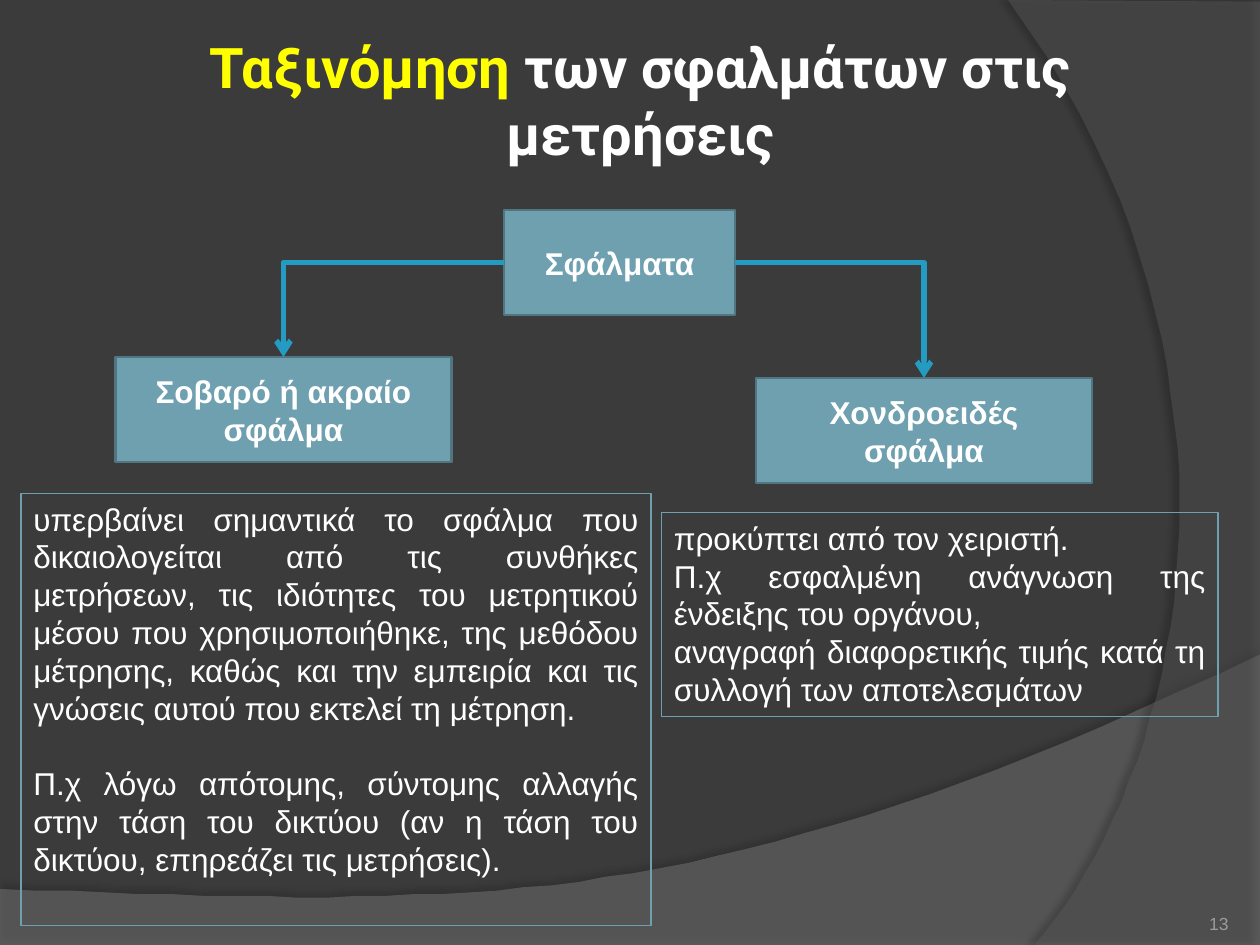
from lxml import etree
from pptx import Presentation
from pptx.dml.color import RGBColor
from pptx.enum import shapes, text
from pptx.oxml import ns
from pptx.util import Pt

BACKDROP = RGBColor(0x3B, 0x3B, 0x3B)
WAVE = RGBColor(0x7F, 0x7F, 0x7F)
ARC = RGBColor(0x5E, 0x5E, 0x5E)
WHITE = RGBColor(0xFF, 0xFF, 0xFF)
YELLOW = RGBColor(0xFF, 0xFF, 0x00)
TEAL = RGBColor(0x6E, 0xA0, 0xB0)
TEAL_DARK = RGBColor(0x51, 0x76, 0x82)
ARROW = RGBColor(0x23, 0x9B, 0xC2)
GREY = RGBColor(0x9D, 0x9B, 0x9A)

SERIOUS = [
    "υπερβαίνει σημαντικά το σφάλμα που δικαιολογείται από τις συνθήκες "
    "μετρήσεων, τις ιδιότητες του μετρητικού μέσου που χρησιμοποιήθηκε, της "
    "μεθόδου μέτρησης, καθώς και την εμπειρία και τις γνώσεις αυτού που "
    "εκτελεί τη μέτρηση.",
    "Π.χ λόγω απότομης, σύντομης αλλαγής στην τάση του δικτύου (αν η τάση "
    "του δικτύου, επηρεάζει τις μετρήσεις).",
]
GROSS = [
    "προκύπτει από τον χειριστή.",
    "Π.χ εσφαλμένη ανάγνωση της ένδειξης του οργάνου,",
    "αναγραφή διαφορετικής τιμής κατά τη συλλογή των αποτελεσμάτων",
]


def style(font, size, color, bold=False, name="Arial"):
    """Set the look of a font."""
    font.name, font.size, font.bold = name, Pt(size), bold
    font.color.rgb = color


def bezier(start, first, second, end, steps=40):
    """Return points along a cubic curve, without its start."""
    points = []
    for step in range(1, steps + 1):
        t = step / steps
        weights = ((1 - t) ** 3, 3 * t * (1 - t) ** 2, 3 * t * t * (1 - t), t ** 3)
        points.append(tuple(
            sum(w * c for w, c in zip(weights, axis))
            for axis in zip(start, first, second, end)))
    return points


def add_backdrop_curve(slide, layer, corners, curve, color, opacity, shadow):
    """Place a translucent curved area behind the content."""
    builder = slide.shapes.build_freeform(*corners[0], scale=Pt(1))
    builder.add_line_segments(corners[1:] + bezier(corners[-1], *curve), close=True)
    area = builder.convert_to_shape()
    area.fill.solid()
    area.fill.fore_color.rgb = color
    area.line.fill.background()
    tint = area.element.spPr.find(".//" + ns.qn("a:srgbClr"))
    etree.SubElement(tint, ns.qn("a:alpha"), val=str(opacity * 1000))
    shade, distance, angle = shadow
    area.shadow.inherit = False
    effects = area.element.spPr.find(ns.qn("a:effectLst"))
    outer = etree.SubElement(
        effects, ns.qn("a:outerShdw"), blurRad=str(Pt(4)),
        dist=str(Pt(distance)), dir=str(angle * 60000), rotWithShape="0")
    black = etree.SubElement(outer, ns.qn("a:srgbClr"), val="000000")
    etree.SubElement(black, ns.qn("a:alpha"), val=str(shade * 1000))
    slide.shapes.element.insert(2 + layer, area.element)


def add_backdrop(slide):
    """Paint the dark background with its wave and arc."""
    slide.background.fill.solid()
    slide.background.fill.fore_color.rgb = BACKDROP
    add_backdrop_curve(
        slide, 0, [(0, 508), (0, 540), (720, 540), (720, 374)],
        [(402, 525), (282, 518), (0, 508)], WAVE, 45, (35, 3.5, 270))
    add_backdrop_curve(
        slide, 1, [(720, 1), (720, 540), (591, 540)],
        [(673, 446), (733, 216), (576, 0)], ARC, 40, (45, 4, 180))


def add_heading(slide, left, top, width, height):
    """Fill the title, with its first word highlighted."""
    title = slide.shapes.title
    title.left, title.top, title.width, title.height = map(
        Pt, (left, top, width, height))
    frame = title.text_frame
    frame.margin_left = frame.margin_right = Pt(3.6)
    frame.vertical_anchor = text.MSO_ANCHOR.MIDDLE
    paragraph = frame.paragraphs[0]
    paragraph.alignment = text.PP_ALIGN.CENTER
    for words, color in (("Ταξινόμηση ", YELLOW),
                         ("των σφαλμάτων στις μετρήσεις", WHITE)):
        run = paragraph.add_run()
        run.text = words
        style(run.font, 32, color, True, "Roboto")


def add_box(slide, box, paragraphs, align, bold=False, gap=0):
    """Add an outlined rectangle with text and return it."""
    panel = slide.shapes.add_shape(shapes.MSO_SHAPE.RECTANGLE, *map(Pt, box))
    panel.shadow.inherit = False
    panel.fill.background()
    panel.line.color.rgb, panel.line.width = TEAL, Pt(0.75)
    frame = panel.text_frame
    frame.word_wrap = True
    frame.vertical_anchor = text.MSO_ANCHOR.TOP
    frame.text = "\n".join(paragraphs)
    for index, paragraph in enumerate(frame.paragraphs):
        paragraph.alignment = align
        paragraph.space_before = Pt(gap if index else 0)
        style(paragraph.font, 18, WHITE, bold)
    return panel


def add_node(slide, label, *box):
    """Add a filled box of the tree."""
    node = add_box(slide, box, [label], text.PP_ALIGN.CENTER, bold=True)
    node.fill.solid()
    node.fill.fore_color.rgb = TEAL
    node.line.color.rgb, node.line.width = TEAL_DARK, Pt(1.5)
    node.text_frame.vertical_anchor = text.MSO_ANCHOR.MIDDLE
    return node


def add_branch(slide, parent, side, child):
    """Lead an elbow arrow from a side of the parent to the child's top."""
    start = parent.left if side == 1 else parent.left + parent.width
    branch = slide.shapes.add_connector(
        shapes.MSO_CONNECTOR.ELBOW, start, parent.top + parent.height // 2,
        child.left + child.width // 2, child.top)
    branch.begin_connect(parent, side)
    branch.end_connect(child, 0)
    branch.line.color.rgb, branch.line.width = ARROW, Pt(3)
    properties = branch.element.spPr
    properties.find(ns.qn("a:prstGeom")).set("prst", "bentConnector2")
    etree.SubElement(properties.find(ns.qn("a:ln")), ns.qn("a:tailEnd"), type="arrow")
    etree.SubElement(properties, ns.qn("a:effectLst"))


def add_tree(slide, left, top):
    """Place the error types below their common root."""
    root = add_node(slide, "Σφάλματα", left + 222, top, 132, 60)
    serious = add_node(slide, "Σοβαρό ή ακραίο σφάλμα", left, top + 84, 192, 60)
    gross = add_node(slide, "Χονδροειδές σφάλμα", left + 366, top + 96, 192, 60)
    add_branch(slide, root, 1, serious)
    add_branch(slide, root, 3, gross)


def add_page_number(slide, left, top, width, height):
    """Write the page number at the lower right."""
    frame = slide.shapes.add_textbox(*map(Pt, (left, top, width, height))).text_frame
    frame.word_wrap = True
    frame.margin_left = frame.margin_right = frame.margin_top = frame.margin_bottom = 0
    frame.vertical_anchor = text.MSO_ANCHOR.BOTTOM
    frame.text = "13"
    frame.paragraphs[0].alignment = text.PP_ALIGN.RIGHT
    style(frame.paragraphs[0].font, 10, GREY)


def main():
    """Build and save the slide."""
    deck = Presentation()
    deck.slide_width, deck.slide_height = Pt(720), Pt(540)
    slide = deck.slides.add_slide(deck.slide_layouts[5])
    add_backdrop(slide)
    add_heading(slide, 42, 15, 648, 84)
    add_page_number(slide, 642, 505.5, 60, 28.5)
    add_tree(slide, 66, 120)
    add_box(slide, (12, 282, 360, 247), SERIOUS, text.PP_ALIGN.JUSTIFY, gap=21.6)
    add_box(slide, (378, 293, 318, 116.5), GROSS, text.PP_ALIGN.JUSTIFY)
    deck.save("out.pptx")


if __name__ == "__main__":
    main()
